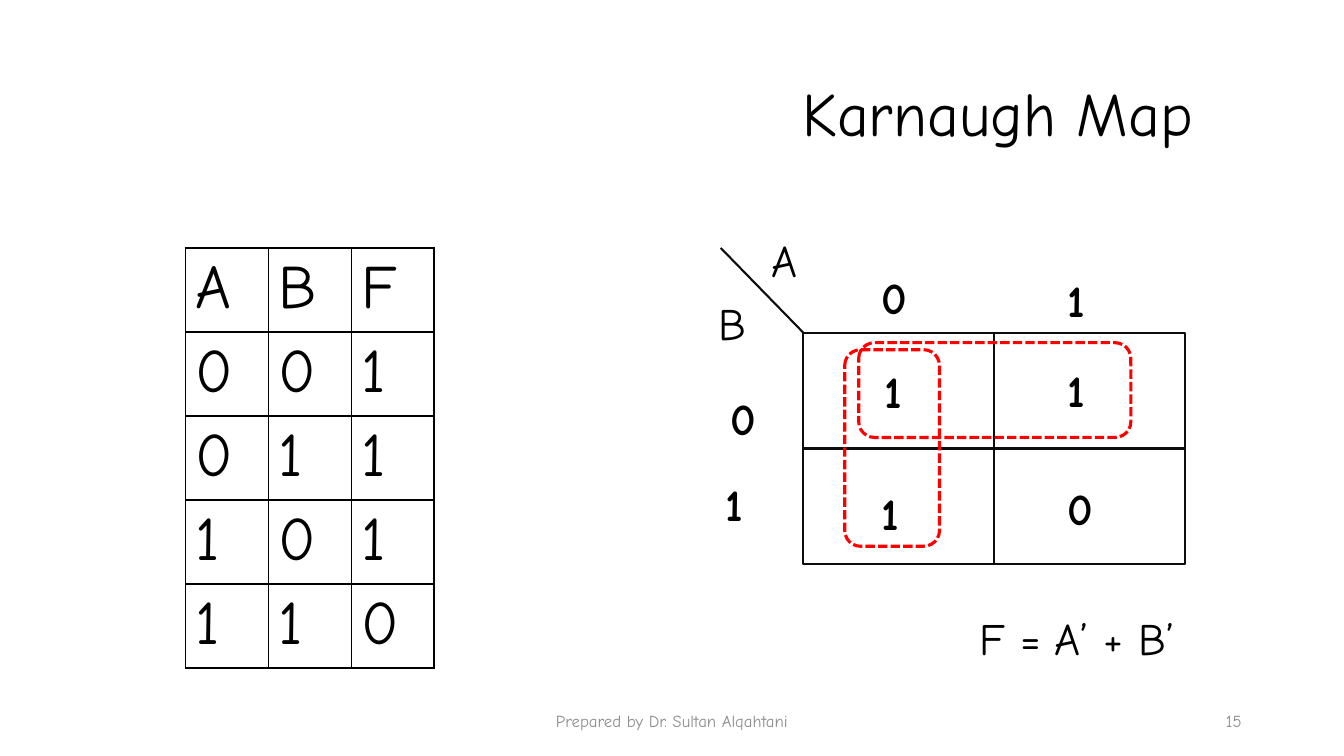
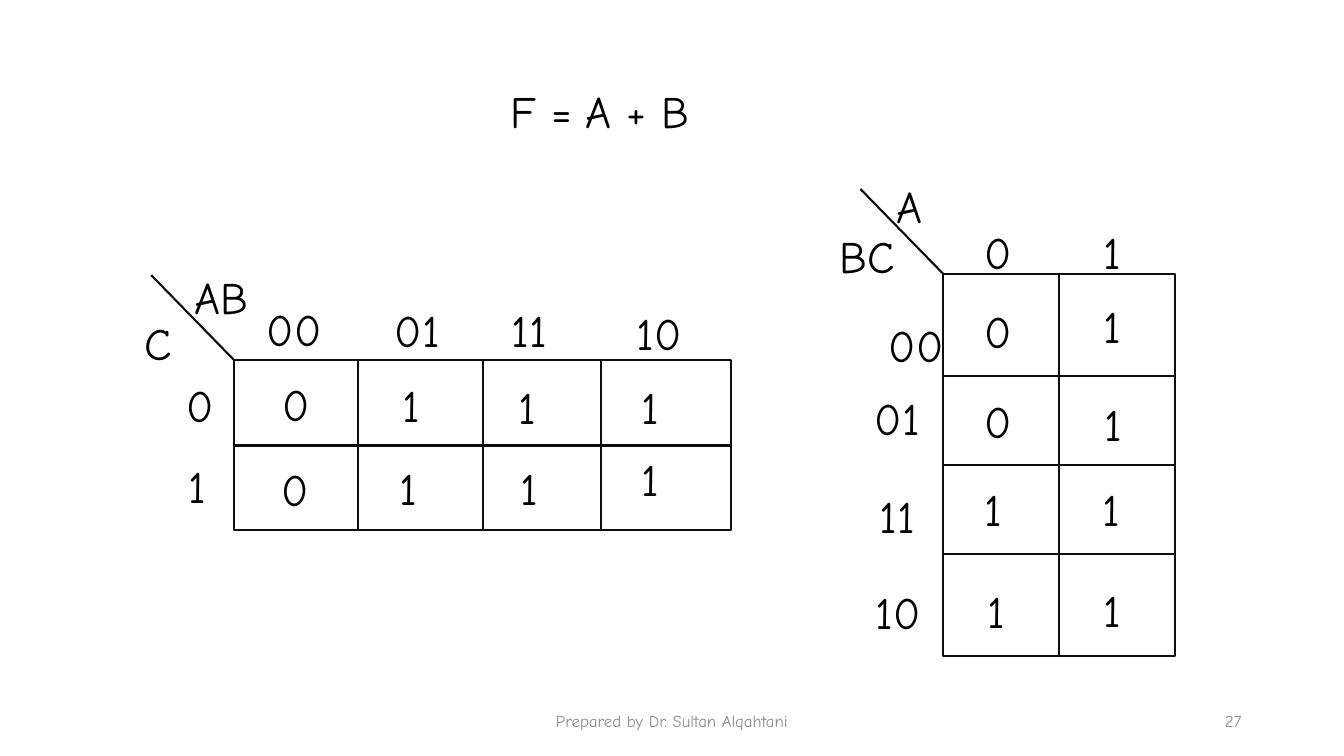
from dataclasses import dataclass

from lxml import etree
from pptx import Presentation
from pptx.dml import color
from pptx.enum import dml, shapes, text
from pptx.oxml import ns
from pptx.util import Pt


# Theme: colours, type sizes, line weights
@dataclass(frozen=True)
class Theme:
    face: str = "Comic Neue"
    ink: str = "000000"
    rule: str = "0D0D0D"
    paper: str = "FFFFFF"
    loop: str = "FF0000"
    grey: str = "8C8C8C"
    head: int = 44
    body: int = 32
    small: int = 12
    thin: float = 1
    line: float = 1.5
    bold: float = 2.25


T = Theme()
LEFT, MID, RIGHT = text.PP_ALIGN.LEFT, text.PP_ALIGN.CENTER, text.PP_ALIGN.RIGHT
CREDIT = "Prepared by Dr. Sultan Alqahtani"
TALL = 46  # height of a one-line mark
WIDE = {"A": 38, "B": 34.6, "C": 33.8, "0": 34.6, "1": 28.8,
        "00": 54, "01": 49, "10": 49, "11": 44, "AB": 58.3, "BC": 54,
        "F = ": 70, "A + B": 93.6, "A’ + B’": 105}


def rgb(code):
    return color.RGBColor.from_string(code)


def put(item, values):
    for name, value in values.items():
        setattr(item, name, value)


class Deck:
    def __init__(self):
        self.show = Presentation()
        put(self.show, {"slide_width": Pt(960), "slide_height": Pt(540)})
        self.slide = None

    # Slide with its footer and number
    def page(self, number, title=None):
        layout = self.show.slide_layouts[5 if title else 6]
        self.slide = self.show.slides.add_slide(layout)
        if title:
            self.title(title)
        for words, x, w, align in ((CREDIT, 318, 324, MID),
                                   (str(number), 678, 216, RIGHT)):
            box = self.slide.shapes.add_textbox(Pt(x), Pt(500.4), Pt(w), Pt(28.8))
            put(box.text_frame, {"word_wrap": True,
                                 "vertical_anchor": text.MSO_ANCHOR.MIDDLE})
            self.label(box.text_frame, words, T.small, T.grey, align)

    def title(self, words):
        box = self.slide.shapes.title
        put(box, {"left": Pt(480), "top": Pt(31), "width": Pt(379.6),
                  "height": Pt(104.4)})
        put(box.text_frame, {"word_wrap": True,
                             "auto_size": text.MSO_AUTO_SIZE.NONE,
                             "vertical_anchor": text.MSO_ANCHOR.MIDDLE})
        self.label(box.text_frame, words, T.head, align=RIGHT)
        box.text_frame.paragraphs[0].line_spacing = 0.9

    def label(self, frame, words, size, ink=T.ink, align=LEFT, bold=False):
        para = frame.paragraphs[0]
        para.alignment = align
        run = para.add_run()
        run.text = words
        put(run.font, {"name": T.face, "size": Pt(size), "bold": bold})
        run.font.color.rgb = rgb(ink)

    # One-line texts, each given as words, left, top
    def marks(self, *items, bold=False):
        for words, x, y in items:
            wide = WIDE["0"] if bold else WIDE[words]
            box = self.slide.shapes.add_textbox(Pt(x), Pt(y), Pt(wide), Pt(TALL))
            put(box.text_frame, {"word_wrap": False,
                                 "auto_size": text.MSO_AUTO_SIZE.SHAPE_TO_FIT_TEXT})
            self.label(box.text_frame, words, T.body, bold=bold)

    def line(self, x1, y1, x2, y2):
        link = self.slide.shapes.add_connector(
            shapes.MSO_CONNECTOR.STRAIGHT, Pt(x1), Pt(y1), Pt(x2), Pt(y2))
        link.line.color.rgb = rgb(T.rule)
        link.line.width = Pt(T.line)
        etree.SubElement(link._element.spPr, ns.qn("a:effectLst"))

    def shape(self, kind, x, y, w, h, ink, weight):
        item = self.slide.shapes.add_shape(kind, Pt(x), Pt(y), Pt(w), Pt(h))
        item.shadow.inherit = False
        item.line.color.rgb = rgb(ink)
        item.line.width = Pt(weight)
        return item

    # Dashed loop round a group of ones
    def loop(self, x, y, w, h):
        ring = self.shape(shapes.MSO_SHAPE.ROUNDED_RECTANGLE, x, y, w, h,
                          T.loop, T.bold)
        ring.fill.background()
        ring.line.dash_style = dml.MSO_LINE.SQUARE_DOT

    # Map frame with inner rules and the slanted corner line
    def grid(self, x, y, w, h, cols, rows):
        frame = self.shape(shapes.MSO_SHAPE.RECTANGLE, x, y, w, h, T.rule, T.line)
        frame.fill.solid()
        frame.fill.fore_color.rgb = rgb(T.paper)
        for dx in cols:
            self.line(x + dx, y, x + dx, y + h)
        for dy in rows:
            self.line(x, y + dy, x + w, y + dy)
        self.line(x, y, x - 59, y - 60.5)

    # Truth table
    def table(self, x, y, wide, tall, rows):
        count = len(rows[0])
        table = self.slide.shapes.add_table(
            len(rows), count, Pt(x), Pt(y), Pt(wide * count),
            Pt(tall * len(rows))).table
        put(table, {"first_row": False, "horz_banding": False})
        for r, row in enumerate(rows):
            table.rows[r].height = Pt(tall)
            for c, words in enumerate(row):
                cell = table.cell(r, c)
                self.edge(cell)
                cell.fill.background()
                self.label(cell.text_frame, words, T.head)

    def edge(self, cell):
        props = cell._tc.get_or_add_tcPr()
        for side in ("lnL", "lnR", "lnT", "lnB"):
            line = etree.SubElement(props, ns.qn("a:" + side), w=str(Pt(T.thin)))
            fill = etree.SubElement(line, ns.qn("a:solidFill"))
            etree.SubElement(fill, ns.qn("a:srgbClr"), val=T.ink)


deck = Deck()

# Slide 15: truth table and two-variable map
deck.page(15, "Karnaugh Map")
deck.table(132.5, 177.1, 59.2, 57.8, ["ABF", "001", "011", "101", "110"])
deck.grid(573.8, 237.6, 272.8, 165.6, [136.4], [82.8])
deck.marks(("A", 544.3, 162.7), ("B", 506.2, 207.4),
           ("F = ", 692.6, 432.7), ("A’ + B’", 745.9, 432.7))
deck.marks(("0", 622.8, 189.4), ("1", 755.3, 191.5),
           ("0", 514.8, 275.8), ("1", 625, 256.3), ("1", 755.3, 255.6),
           ("1", 511.2, 337), ("1", 622.8, 343.4), ("0", 755.3, 339.8),
           bold=True)
deck.loop(603.4, 249.8, 67.7, 140.4)
deck.loop(613.4, 244.8, 194.4, 67.7)

# Slide 27: three-variable map, wide and tall
deck.page(27)
deck.marks(("F = ", 357.8, 56.2), ("A + B", 411.1, 56.2))

deck.grid(167, 257, 355, 121.7, [88.6, 177.9, 262.1], [61.2])
deck.marks(("C", 96.5, 221.8), ("AB", 131.8, 189.4),
           ("00", 183.6, 211.7), ("01", 275, 212.4),
           ("11", 358.6, 212.4), ("10", 447.8, 214.6),
           ("0", 126, 266.4), ("0", 194.4, 265.7), ("1", 280.8, 266.4),
           ("1", 363.6, 267.8), ("1", 451.4, 267.8),
           ("1", 127.4, 324), ("0", 193.7, 326.2), ("1", 278.6, 325.4),
           ("1", 365, 325.4), ("1", 451.4, 319))

deck.grid(673.6, 195.5, 165.6, 272.8, [82.8], [73.1, 136.4, 200.5])
deck.marks(("A", 633.6, 123.8), ("BC", 592.6, 159.8),
           ("0", 696.2, 157), ("1", 781.2, 157),
           ("00", 627.8, 223.2), ("0", 696.2, 213.1), ("1", 781.2, 209.5),
           ("01", 617.8, 275.8), ("0", 696.2, 277.9), ("1", 781.9, 280.1),
           ("11", 621.4, 345.6), ("1", 696.2, 340.6), ("1", 780.5, 340.6),
           ("10", 618.5, 414), ("1", 698.4, 413.3), ("1", 781.2, 412.6))

deck.show.save("out.pptx")
